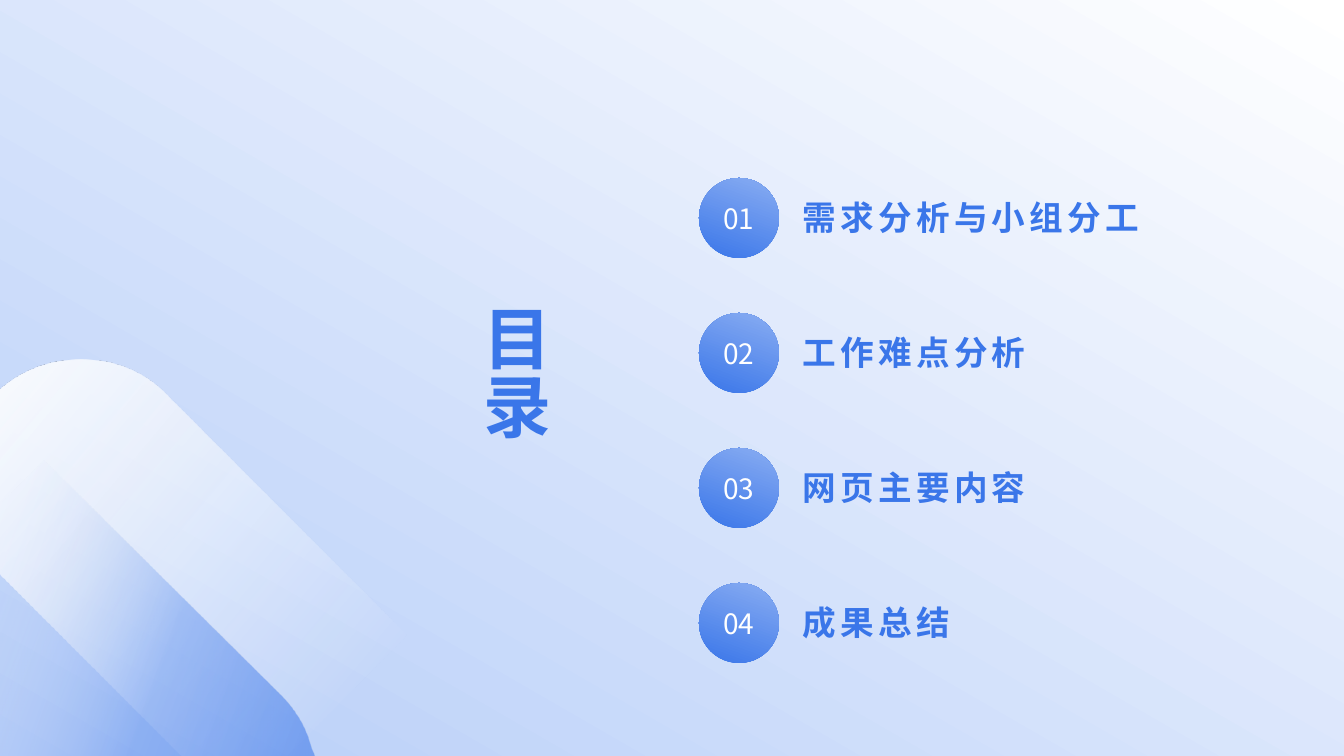
from dataclasses import dataclass

from lxml import etree
from pptx import Presentation
from pptx import util as u
from pptx.dml.color import RGBColor
from pptx.enum import shapes, text
from pptx.oxml import ns

EMU_PER_PX = 12192000 / 1344
PAGE_WIDTH, PAGE_HEIGHT = 1344, 756
FONT = "Noto Sans CJK SC"
BLUE = RGBColor(0x3A, 0x76, 0xE9)
LIGHT_BLUE = RGBColor(0x89, 0xAD, 0xF2)
SKY = RGBColor(0xB6, 0xCD, 0xF8)
PALE = RGBColor(0xD8, 0xE4, 0xFB)
MIST = RGBColor(0xF9, 0xFB, 0xFE)
HAZE = RGBColor(0xFB, 0xFC, 0xFF)
WHITE = RGBColor(0xFF, 0xFF, 0xFF)

Point = tuple[int, int]


@dataclass(frozen=True)
class Stop:
    position: int
    color: RGBColor
    opacity: int = 100


@dataclass(frozen=True)
class Gradient:
    angle: int
    stops: tuple[Stop, ...]


@dataclass(frozen=True)
class Box:
    left: int
    top: int
    width: int
    height: int


@dataclass(frozen=True)
class Curve:
    first: Point
    second: Point
    end: Point


@dataclass(frozen=True)
class Ribbon:
    start: Point
    segments: tuple[Point | Curve, ...]
    gradient: Gradient


BACKDROP = Gradient(300, (Stop(0, SKY), Stop(100, WHITE)))
BADGE = Gradient(290, (Stop(0, BLUE), Stop(100, LIGHT_BLUE)))
RIBBONS = (
    Ribbon(
        (82, 360),
        (
            Curve((113, 360), (144, 371), (167, 395)),
            (407, 635), (287, 756), (182, 756), (0, 574), (0, 390), (4, 387),
            Curve((26, 369), (53, 360), (82, 360)),
        ),
        Gradient(40, (Stop(0, MIST), Stop(87, HAZE, 0))),
    ),
    Ribbon(
        (45, 461),
        (
            (281, 695),
            Curve((296, 710), (306, 727), (311, 746)),
            (315, 756), (0, 756), (0, 505),
        ),
        Gradient(20, (Stop(0, WHITE, 0), Stop(56, BLUE, 34), Stop(98, BLUE, 55))),
    ),
)
SECTIONS = ("需求分析与小组分工", "工作难点分析", "网页主要内容", "成果总结")
SECTION_PITCH = 135
CURVE_STEPS = 16


def px(length: int) -> u.Emu:
    return u.Emu(round(length * EMU_PER_PX))


def place(box: Box) -> tuple[u.Emu, ...]:
    return px(box.left), px(box.top), px(box.width), px(box.height)


def paint(shape, gradient: Gradient) -> None:
    shape.shadow.inherit = False
    shape.line.fill.background()
    shape.fill.gradient()
    fill = shape._element.spPr.find(ns.qn("a:gradFill"))
    for child in list(fill):
        fill.remove(child)
    stops = etree.SubElement(fill, ns.qn("a:gsLst"))
    for stop in gradient.stops:
        mark = etree.SubElement(stops, ns.qn("a:gs"), pos=str(stop.position * 1000))
        color = etree.SubElement(mark, ns.qn("a:srgbClr"), val=str(stop.color))
        if stop.opacity < 100:
            etree.SubElement(color, ns.qn("a:alpha"), val=str(stop.opacity * 1000))
    etree.SubElement(fill, ns.qn("a:lin"), ang=str(gradient.angle * 60000), scaled="0")


def write(shape, words: str, *, size: float, color: RGBColor, bold: bool = False,
          tracking: int = 0, wrap: bool = True, line_spacing: float = 1.0,
          align: text.PP_ALIGN = text.PP_ALIGN.LEFT) -> None:
    frame = shape.text_frame
    frame.word_wrap = wrap
    frame.vertical_anchor = text.MSO_ANCHOR.MIDDLE
    frame.margin_left = frame.margin_right = frame.margin_top = frame.margin_bottom = 0
    para = frame.paragraphs[0]
    para.alignment = align
    para.line_spacing = line_spacing
    span = para.add_run()
    span.text = words
    span.font.size = u.Pt(size)
    span.font.bold = bold
    span.font.color.rgb = color
    span.font.name = FONT
    properties = span._r.get_or_add_rPr()
    etree.SubElement(properties, ns.qn("a:ea"), typeface=FONT)
    if tracking:
        properties.set("spc", str(tracking * 100))


def trace(start: Point, curve: Curve) -> list[tuple[float, float]]:
    points = []
    for step in range(1, CURVE_STEPS + 1):
        t = step / CURVE_STEPS
        weights = ((1 - t) ** 3, 3 * t * (1 - t) ** 2, 3 * t * t * (1 - t), t ** 3)
        anchors = (start, curve.first, curve.second, curve.end)
        points.append((
            sum(weight * anchor[0] for weight, anchor in zip(weights, anchors)),
            sum(weight * anchor[1] for weight, anchor in zip(weights, anchors)),
        ))
    return points


def draw_ribbon(page, ribbon: Ribbon) -> None:
    outline = [ribbon.start]
    for segment in ribbon.segments:
        if isinstance(segment, Curve):
            outline.extend(trace(outline[-1], segment))
        else:
            outline.append(segment)
    corners = [(round(x * EMU_PER_PX), round(y * EMU_PER_PX)) for x, y in outline]
    builder = page.shapes.build_freeform(*corners[0], scale=1.0)
    builder.add_line_segments(corners[1:], close=True)
    paint(builder.convert_to_shape(), ribbon.gradient)


def draw_section(page, index: int, heading: str) -> None:
    offset = index * SECTION_PITCH
    badge = page.shapes.add_shape(
        shapes.MSO_SHAPE.OVAL, *place(Box(699, 178 + offset, 80, 80)))
    paint(badge, BADGE)
    write(badge, f"{index + 1:02}", size=20, color=WHITE, wrap=False,
          align=text.PP_ALIGN.CENTER)
    label = page.shapes.add_textbox(*place(Box(803, 166 + offset, 351, 103)))
    write(label, heading, size=24, color=BLUE, bold=True, tracking=3)


def main() -> None:
    deck = Presentation()
    deck.slide_width, deck.slide_height = px(PAGE_WIDTH), px(PAGE_HEIGHT)
    page = deck.slides.add_slide(deck.slide_layouts[6])
    page.background.fill.solid()
    page.background.fill.fore_color.rgb = PALE
    backdrop = page.shapes.add_shape(
        shapes.MSO_SHAPE.RECTANGLE, *place(Box(0, 0, PAGE_WIDTH, PAGE_HEIGHT)))
    paint(backdrop, BACKDROP)
    for ribbon in RIBBONS:
        draw_ribbon(page, ribbon)
    title = page.shapes.add_textbox(*place(Box(484, 311, 86, 134)))
    write(title, "目录", size=48.6, color=BLUE, bold=True, tracking=3,
          line_spacing=0.83)
    for index, heading in enumerate(SECTIONS):
        draw_section(page, index, heading)
    deck.save("out.pptx")


if __name__ == "__main__":
    main()
